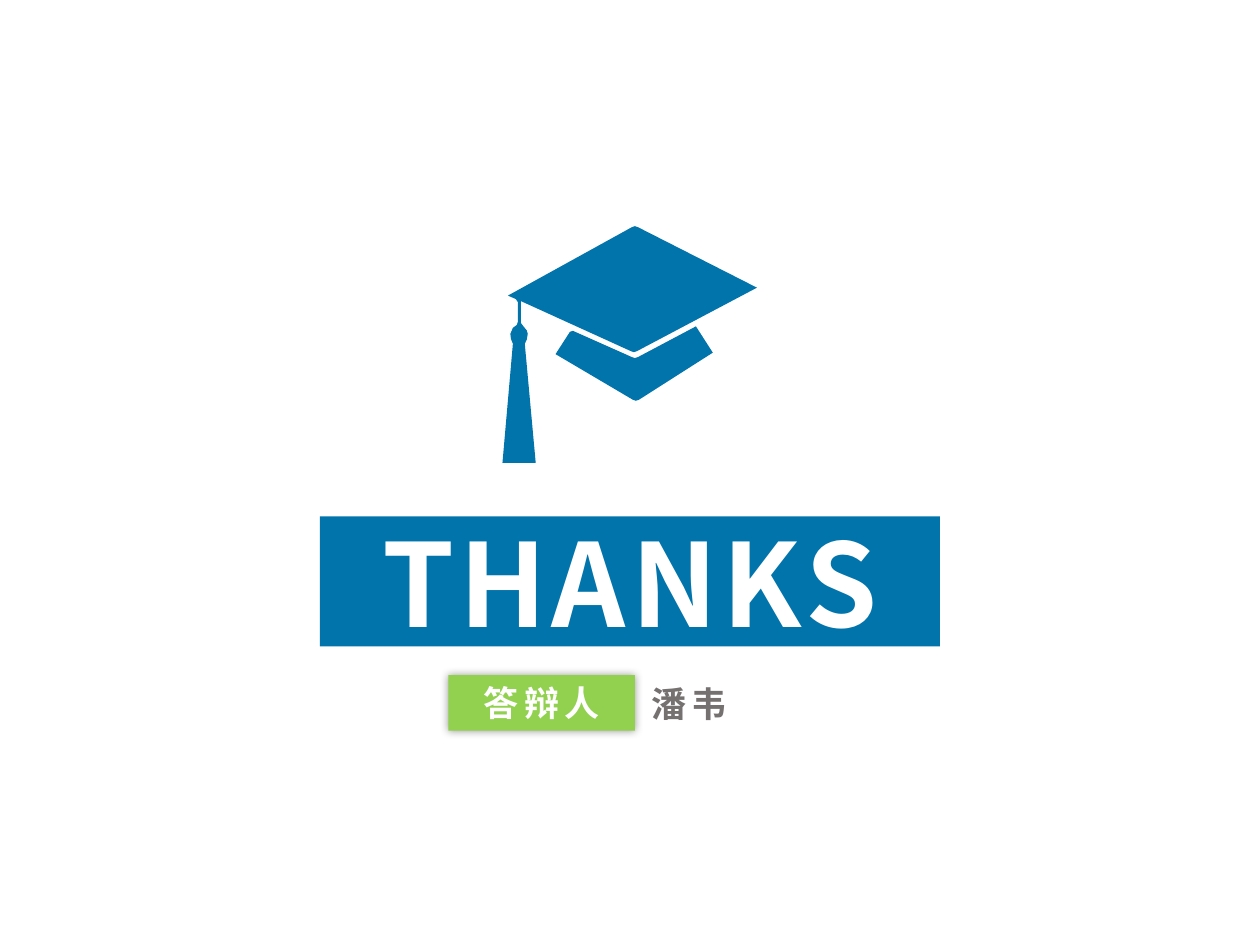
from lxml import etree
from pptx import Presentation
from pptx.dml.color import RGBColor
from pptx.enum.shapes import MSO_SHAPE
from pptx.enum.text import MSO_ANCHOR, MSO_AUTO_SIZE, PP_ALIGN
from pptx.oxml.ns import qn
from pptx.util import Cm, Pt

RECTANGLE = MSO_SHAPE.RECTANGLE
MIDDLE = MSO_ANCHOR.MIDDLE
FIT_SHAPE = MSO_AUTO_SIZE.SHAPE_TO_FIT_TEXT
CENTER, LEFT = PP_ALIGN.CENTER, PP_ALIGN.LEFT

FONT = "Noto Sans CJK SC"
BLUE, GREEN, GRAY, WHITE = "0174AB", "92D14F", "767171", "FFFFFF"

# Left, top, width, height in cm
TITLE = ("THANKS", 66, (6.45, 10.41, 12.5, 2.62))
ROLE = ("答辩人", 20, (9.04, 13.61, 3.76, 1.12))
SPEAKER = ("潘韦", 20, (12.88, 13.64, 4.5, 1.12))

# Outlines of the graduation cap, in cm on the slide
BOARD_AND_TASSEL = [
    (10.5, 6.07), (10.5, 6.51), (10.56, 6.59), (10.62, 6.66), (10.64, 6.73),
    (10.62, 6.85), (10.58, 6.93), (10.8, 9.33), (10.13, 9.33), (10.34, 6.93),
    (10.3, 6.83), (10.29, 6.73), (10.34, 6.61), (10.42, 6.55), (10.44, 6.49),
    (10.44, 6.09), (10.4, 6.03), (10.24, 5.96), (12.74, 4.58), (12.8, 4.56),
    (12.86, 4.58), (15.26, 5.8), (12.84, 7.08), (12.78, 7.1), (12.72, 7.08),
]
SKULLCAP = [
    (11.2, 7.14), (11.49, 6.69), (11.55, 6.67), (12.74, 7.2), (12.8, 7.22),
    (12.86, 7.2), (14.03, 6.58), (14.37, 7.11), (12.88, 8.06), (12.82, 8.08),
    (12.76, 8.06),
]


def rgb(color):
    return RGBColor.from_string(color)


def paint(shape, color):
    shape.fill.solid()
    shape.fill.fore_color.rgb = rgb(color)
    shape.line.fill.background()
    shape.shadow.inherit = False


def write(shape, text, size, color, align):
    paragraph = shape.text_frame.paragraphs[0]
    paragraph.text = text
    paragraph.alignment = align
    run = paragraph.runs[0]
    run.font.size = Pt(size)
    run.font.bold = True
    run.font.color.rgb = rgb(color)
    run.font.name = FONT
    properties = run.font._element
    properties.set("spc", "300")
    etree.SubElement(properties, qn("a:ea"), typeface=FONT)


def add_banner(shapes, content, fill):
    text, size, box = content
    banner = shapes.add_shape(RECTANGLE, *map(Cm, box))
    paint(banner, fill)
    banner.text_frame.vertical_anchor = MIDDLE
    write(banner, text, size, WHITE, CENTER)
    return banner


def add_glow_shadow(shape):
    """Give the shape a soft black shadow on all sides."""
    effects = shape._element.spPr.find(qn("a:effectLst"))
    shadow = etree.SubElement(effects, qn("a:outerShdw"), blurRad=str(Pt(5)),
                              dist="0", dir="0", algn="ctr", rotWithShape="0")
    black = etree.SubElement(shadow, qn("a:srgbClr"), val="000000")
    etree.SubElement(black, qn("a:alpha"), val="40000")


def add_outline(shapes, points, color):
    start, *rest = [(Cm(x), Cm(y)) for x, y in points]
    builder = shapes.build_freeform(*start)
    builder.add_line_segments(rest, close=True)
    paint(builder.convert_to_shape(), color)


def main():
    deck = Presentation()
    deck.slide_width, deck.slide_height = Cm(25.4), Cm(19.05)
    shapes = deck.slides.add_slide(deck.slide_layouts[6]).shapes

    add_banner(shapes, TITLE, BLUE)

    cap = shapes.add_group_shape()
    for outline in (BOARD_AND_TASSEL, SKULLCAP):
        add_outline(cap.shapes, outline, BLUE)

    add_glow_shadow(add_banner(shapes, ROLE, GREEN))

    text, size, box = SPEAKER
    speaker = shapes.add_textbox(*map(Cm, box))
    speaker.text_frame.word_wrap = True
    speaker.text_frame.auto_size = FIT_SHAPE
    write(speaker, text, size, GRAY, LEFT)

    deck.save("out.pptx")


if __name__ == "__main__":
    main()
